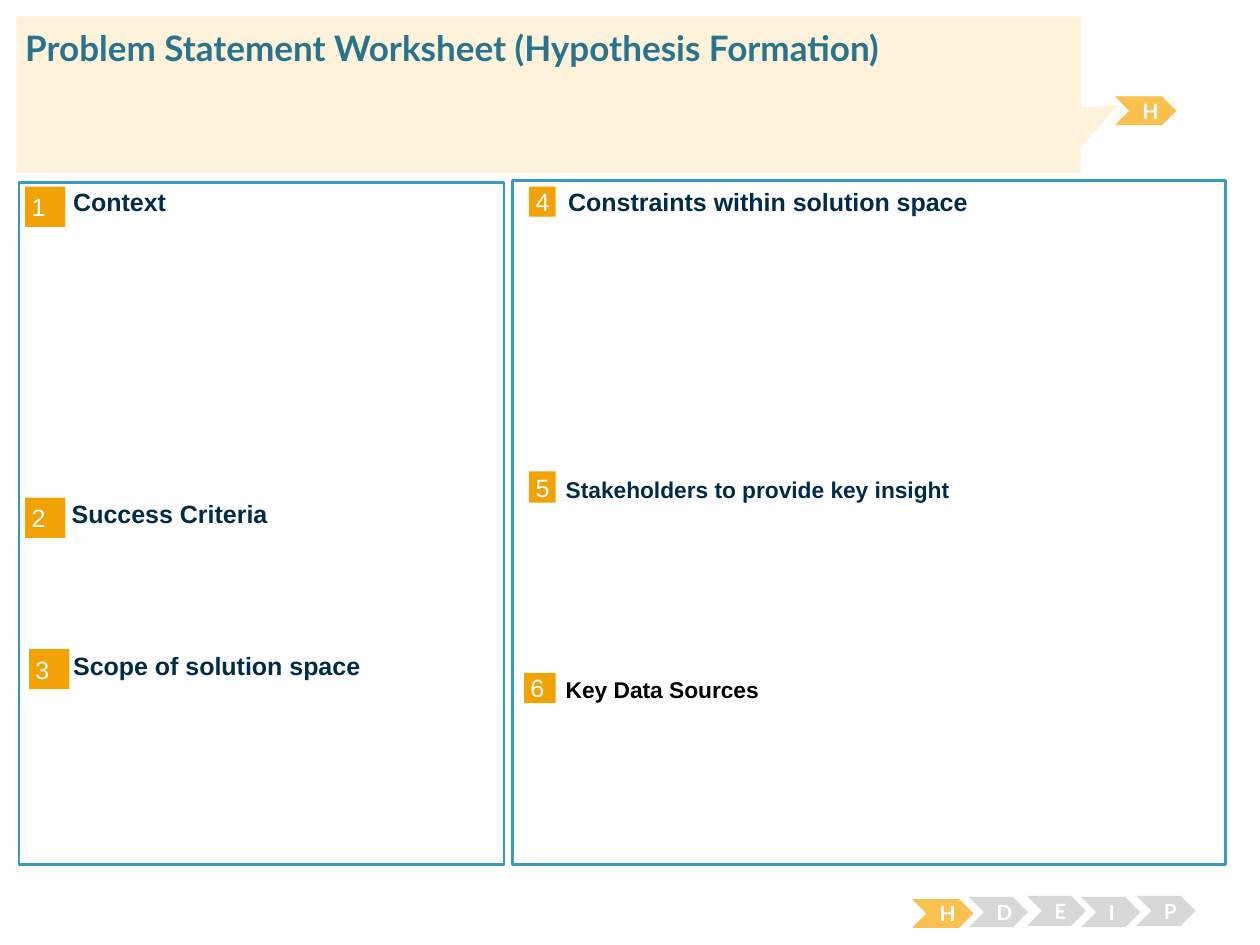
import pptx
import pptx.util
import pptx.dml.color
import pptx.enum.shapes
import pptx.enum.text
from dataclasses import dataclass

Pt = pptx.util.Pt
Shape = pptx.enum.shapes.MSO_SHAPE
Anchor = pptx.enum.text.MSO_ANCHOR
Align = pptx.enum.text.PP_ALIGN


@dataclass(frozen=True)
class Theme:
    white: str = "FFFFFF"
    black: str = "000000"
    navy: str = "002C46"
    teal: str = "29748D"
    border: str = "379BBD"
    orange: str = "F1A205"
    amber: str = "FBC14E"
    grey: str = "D8D8D8"
    cream: str = "FEF2DA"
    body_font: str = "Arial"
    head_font: str = "Lato"
    title_size: float = 20
    heading_size: float = 14.3
    minor_size: float = 13
    step_size: float = 12


theme = Theme()


def rgb(value):
    return pptx.dml.color.RGBColor.from_string(value)


def write(holder, text, size, color, font, bold=False, align=Align.LEFT,
          anchor=Anchor.MIDDLE, margins=(0, 0)):
    frame = holder.text_frame
    frame.word_wrap = True
    frame.auto_size = pptx.enum.text.MSO_AUTO_SIZE.NONE
    frame.vertical_anchor = anchor
    frame.margin_left = frame.margin_right = Pt(margins[0])
    frame.margin_top = frame.margin_bottom = Pt(margins[1])
    paragraph = frame.paragraphs[0]
    paragraph.alignment = align
    run = paragraph.add_run()
    run.text = text
    run.font.size = Pt(size)
    run.font.name = font
    run.font.bold = bold
    run.font.color.rgb = rgb(color)


def add_block(slide, kind, box, fill, line=None, line_width=0.75):
    block = slide.shapes.add_shape(kind, *map(Pt, box))
    block.shadow.inherit = False
    block.fill.solid()
    block.fill.fore_color.rgb = rgb(fill)
    if line:
        block.line.color.rgb = rgb(line)
        block.line.width = Pt(line_width)
    else:
        block.line.fill.background()
    return block


def add_panel(slide, box, sections):
    left, top = box[:2]
    add_block(slide, Shape.RECTANGLE, box, theme.white, theme.border, 1.5)
    for number, badge_box, heading, offset, size, color in sections:
        x, y, width, height = badge_box
        badge = add_block(slide, Shape.RECTANGLE,
                          (left + x, top + y, width, height), theme.orange)
        write(badge, number, theme.heading_size, theme.white, theme.body_font,
              margins=(3.6, 3.6))
        label = slide.shapes.add_textbox(Pt(left + offset[0]), Pt(top + offset[1]),
                                         Pt(283), Pt(17.6))
        write(label, heading, size, color, theme.body_font, bold=True)


def add_step(slide, left, top, letter, active=False):
    height = 15.8 if active else 17.3
    fill = theme.amber if active else theme.grey
    step = add_block(slide, Shape.CHEVRON, (left, top, 33.8, height), fill,
                     theme.amber if active else None)
    write(step, letter, theme.step_size, theme.white, theme.head_font, bold=True,
          align=Align.CENTER, margins=(7.2, 3.6))


def add_step_trail(slide, left, top):
    trail = (("H", 0, 2.2), ("D", 31.7, 0.7), ("E", 64.8, 0),
             ("I", 95.8, 0.7), ("P", 127.4, 0))
    for letter, x, y in trail:
        add_step(slide, left + x, top + y, letter, active=letter == "H")


def add_header(slide, box):
    left, top, width, height = box
    add_step(slide, left + 628.5, top + 46, "H", active=True)
    callout = add_block(slide, Shape.RECTANGULAR_CALLOUT, box, theme.cream)
    callout.adjustments[0] = 0.535
    callout.adjustments[1] = 0.066
    title = slide.shapes.title
    title.left, title.top = Pt(left + 5), Pt(top + 5.7)
    title.width, title.height = Pt(692.6), Pt(24.5)
    write(title, "Problem Statement Worksheet (Hypothesis Formation)",
          theme.title_size, theme.teal, theme.head_font, bold=True,
          anchor=Anchor.TOP)
    title.element.getparent().append(title.element)


def build_worksheet(deck):
    slide = deck.slides.add_slide(deck.slide_layouts[5])
    large, small = theme.heading_size, theme.minor_size
    add_panel(slide, (10.8, 104.4, 277.2, 389.5), (
        ("1", (3.6, 2.2, 23, 23), "Context", (31, 2.2), large, theme.navy),
        ("2", (3.6, 180, 23, 23), "Success Criteria", (30.2, 180), large, theme.navy),
        ("3", (5.8, 266.4, 23, 23), "Scope of solution space", (31, 267.1), large,
         theme.navy),
    ))
    add_panel(slide, (293, 103, 407.5, 391), (
        ("4", (9.4, 3.6, 15.1, 17.3), "Constraints within solution space",
         (31.7, 3.6), large, theme.navy),
        ("5", (9.4, 166.3, 15.1, 18), "Stakeholders to provide key insight",
         (30.3, 167.7), small, theme.navy),
        ("6", (6.5, 281.5, 18, 17.3), "Key Data Sources", (30.3, 282.2), small,
         theme.black),
    ))
    add_step_trail(slide, 522, 511.9)
    add_header(slide, (9.4, 9.4, 608.4, 89.3))


deck = pptx.Presentation()
deck.slide_width, deck.slide_height = Pt(720), Pt(540)
build_worksheet(deck)
deck.save("out.pptx")
